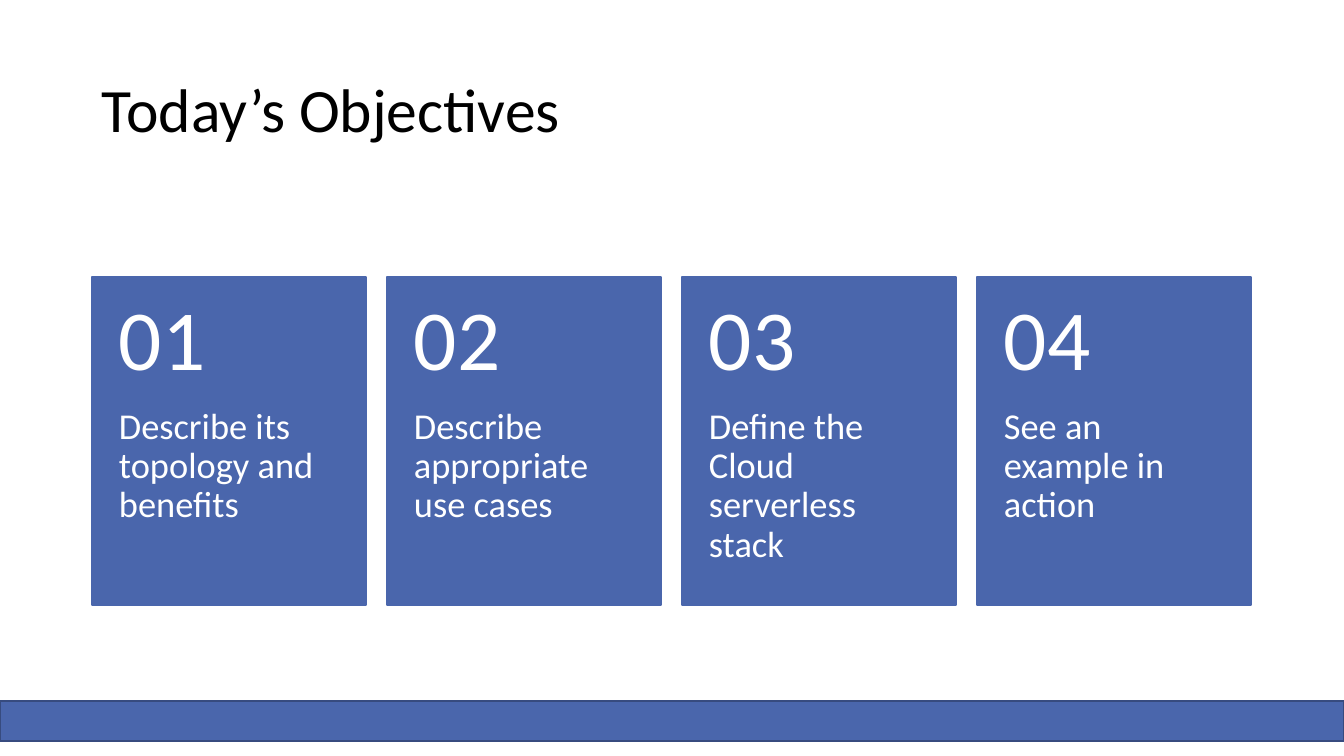
"""Build the objectives slide: a title, four numbered cards and a footer band."""
from pptx import Presentation, util as u
from pptx.dml.color import RGBColor
from pptx.enum import shapes, text

TITLE = "Today’s Objectives"
OBJECTIVES = [
    "Describe its topology and benefits",
    "Describe appropriate use cases",
    "Define the Cloud serverless stack",
    "See an example in action",
]
COLORS = {"card": "4A66AC", "band_edge": "374B7F", "title": "000000", "card_text": "FFFFFF"}
FONT = "Calibri"

SLIDE_W, SLIDE_H = 1344, 756
LEFT, CARD_TOP = 92, 277
CARD_W, CARD_H, CARD_PITCH = 274, 328, 295
NUMBER_H = 131
BAND_TOP, BAND_H = 701, 40


def px(length):
    return u.Emu(round(length * 914400 / 100.8))


def color(name):
    return RGBColor.from_string(COLORS[name])


def add_block(slide, left, top, width, height, edge):
    block = slide.shapes.add_shape(
        shapes.MSO_SHAPE.RECTANGLE, px(left), px(top), px(width), px(height))
    block.shadow.inherit = False
    block.fill.solid()
    block.fill.fore_color.rgb = color("card")
    block.line.color.rgb = color(edge)
    block.line.width = u.Pt(1)


def add_label(slide, wording, box, insets, size, tint, anchor):
    frame = slide.shapes.add_textbox(*map(px, box)).text_frame
    frame.word_wrap = True
    frame.vertical_anchor = anchor
    frame.margin_left, frame.margin_top, frame.margin_right, frame.margin_bottom = map(px, insets)
    line = frame.paragraphs[0]
    line.text = wording
    line.line_spacing = 0.9
    line.font.name = FONT
    line.font.size = u.Pt(size)
    line.font.color.rgb = color(tint)


def main():
    deck = Presentation()
    deck.slide_width, deck.slide_height = px(SLIDE_W), px(SLIDE_H)
    slide = deck.slides.add_slide(deck.slide_layouts[6])
    top, middle = text.MSO_ANCHOR.TOP, text.MSO_ANCHOR.MIDDLE

    add_block(slide, 0, BAND_TOP, SLIDE_W, BAND_H, "band_edge")
    add_label(slide, TITLE, (LEFT, 40, SLIDE_W - 2 * LEFT, 146), (10, 5, 10, 5),
              44, "title", middle)

    for index, objective in enumerate(OBJECTIVES):
        left = LEFT + index * CARD_PITCH
        add_block(slide, left, CARD_TOP, CARD_W, CARD_H, "card")
        add_label(slide, objective,
                  (left, CARD_TOP + NUMBER_H, CARD_W, CARD_H - NUMBER_H),
                  (27, 0, 27, 36), 26, "card_text", top)
        add_label(slide, f"{index + 1:02}", (left, CARD_TOP, CARD_W, NUMBER_H),
                  (27, 18, 27, 18), 61, "card_text", middle)

    deck.save("out.pptx")


if __name__ == "__main__":
    main()
